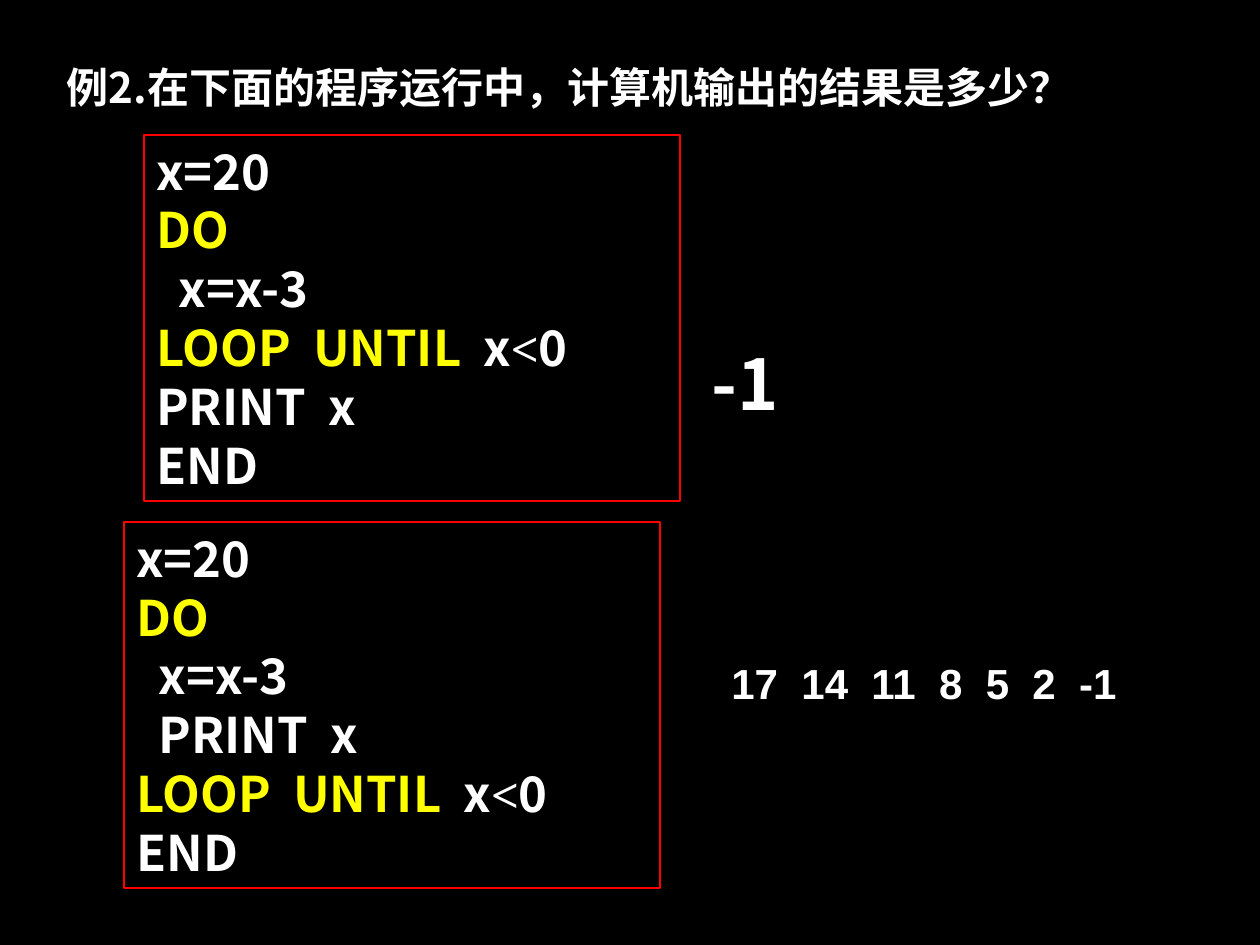
from dataclasses import dataclass

from lxml.etree import SubElement
from pptx import Presentation
from pptx.dml.color import RGBColor
from pptx.enum.shapes import MSO_SHAPE
from pptx.enum.text import MSO_ANCHOR, MSO_AUTO_SIZE, PP_ALIGN
from pptx.oxml.ns import qn
from pptx.util import Emu, Pt

SCALE = 914400 / 126


@dataclass(frozen=True)
class Theme:
    back: RGBColor = RGBColor(0, 0, 0)
    ink: RGBColor = RGBColor(255, 255, 255)
    key: RGBColor = RGBColor(255, 255, 0)
    edge: RGBColor = RGBColor(255, 0, 0)
    main: str = "Noto Sans CJK SC"
    plain: str = "Arial"
    sign: str = "Times New Roman"
    body: int = 24
    code: int = 28
    big: int = 40


def px(*sizes):
    return [Emu(round(size * SCALE)) for size in sizes]


class Deck:
    def __init__(self, theme):
        self.theme = theme
        self.file = Presentation()
        self.file.slide_width, self.file.slide_height = px(1260, 945)
        self.slide = self.file.slides.add_slide(self.file.slide_layouts[5])
        fill = self.slide.background.fill
        fill.solid()
        fill.fore_color.rgb = theme.back

    def style(self, para, size, face):
        """Format a whole paragraph, with the face for East Asian text too."""
        para.alignment = PP_ALIGN.LEFT
        font = para.font
        font.size, font.bold, font.name = Pt(size), True, face
        font.color.rgb = self.theme.ink
        props = para._p.pPr.find(qn("a:defRPr"))
        SubElement(props, qn("a:ea")).set("typeface", face)

    def setup(self, frame):
        frame.word_wrap = True
        frame.auto_size = MSO_AUTO_SIZE.NONE
        frame.vertical_anchor = MSO_ANCHOR.TOP

    def put(self, frame, text, size, face):
        self.setup(frame)
        frame.text = text
        self.style(frame.paragraphs[0], size, face)

    def title(self, text, *place):
        head = self.slide.shapes.title
        head.left, head.top, head.width, head.height = px(*place)
        self.put(head.text_frame, text, self.theme.body, self.theme.main)

    def label(self, text, size, face, *place):
        box = self.slide.shapes.add_textbox(*px(*place))
        self.put(box.text_frame, text, size, face)

    def code(self, lines, *place):
        """Draw a framed listing; each line is a list of (text, kind) runs."""
        box = self.slide.shapes.add_shape(MSO_SHAPE.RECTANGLE, *px(*place))
        box.shadow.inherit = False
        box.fill.background()
        box.line.color.rgb = self.theme.edge
        box.line.width = Pt(0.75)
        frame = box.text_frame
        self.setup(frame)
        for row, parts in enumerate(lines):
            para = frame.add_paragraph() if row else frame.paragraphs[0]
            self.style(para, self.theme.code, self.theme.main)
            for text, kind in parts:
                run = para.add_run()
                run.text = text
                if kind == "key":
                    run.font.color.rgb = self.theme.key
                elif kind == "sign":
                    run.font.name = self.theme.sign


def main():
    theme = Theme()
    deck = Deck(theme)
    start = [[("x=20", "")], [("DO", "key")], [("  x=x-3", "")]]
    until = [("LOOP  UNTIL", "key"), ("  x", ""), ("<", "sign"), ("0", "")]
    end = [("END", "")]

    deck.title("例2.在下面的程序运行中，计算机输出的结果是多少？", 54, 55, 1057, 63)
    deck.code([*start, until, [("PRINT  x", "")], end], 144, 135, 536, 366)
    deck.label("-1", theme.big, theme.main, 699, 334, 129, 97)
    deck.code([*start, [("  PRINT  x", "")], until, end], 124, 522, 536, 366)
    deck.label("17  14  11  8  5  2  -1", theme.body, theme.plain, 719, 651, 437, 63)
    deck.file.save("out.pptx")


if __name__ == "__main__":
    main()
